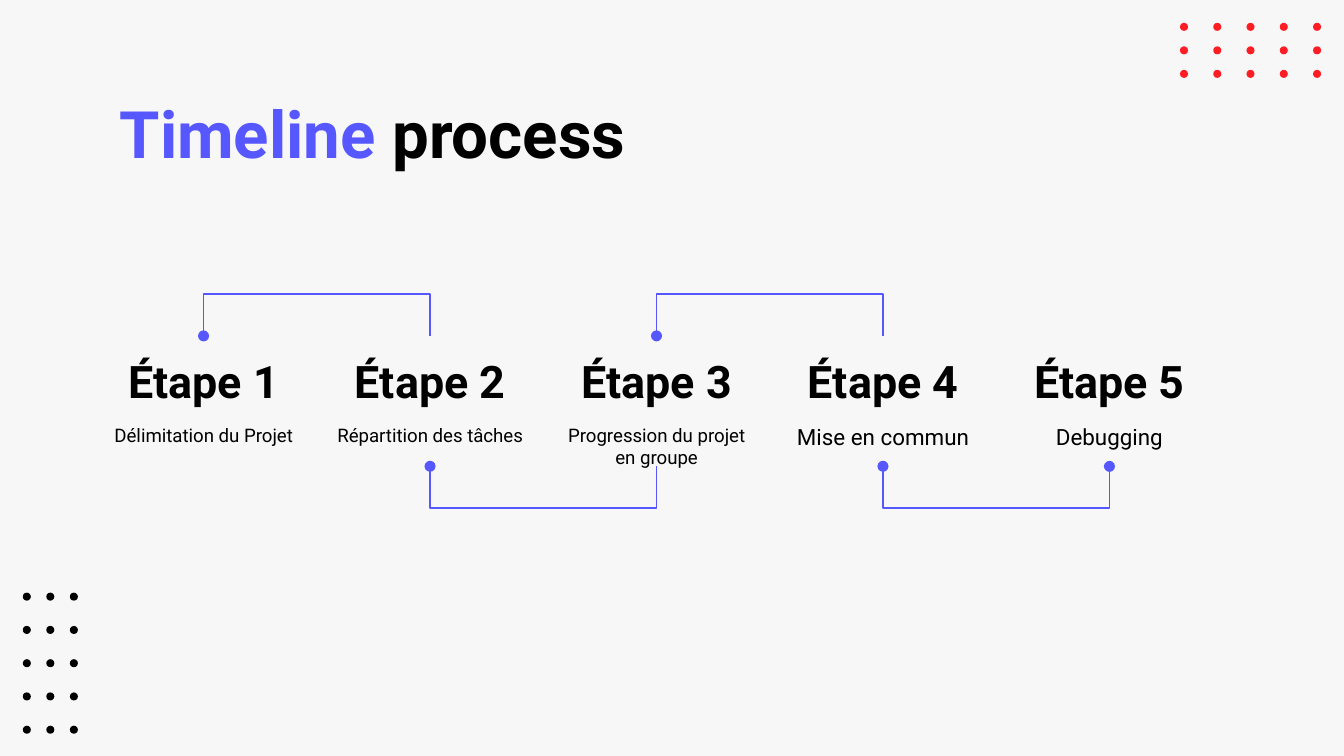
"""Build a five-step timeline slide."""
from dataclasses import dataclass
from itertools import product

from lxml import etree
from pptx import Presentation
from pptx import util as u
from pptx.dml.color import RGBColor
from pptx.enum import shapes, text
from pptx.oxml import ns


@dataclass(frozen=True)
class Theme:
    """Colours, font and type sizes of the slide."""
    font: str = "Roboto"
    paper: str = "F7F7F7"
    ink: str = "000000"
    blue: str = "5757FF"
    red: str = "FF1D25"
    title: float = 35
    head: float = 24
    body: float = 12
    small: float = 10
    line: float = 0.75


@dataclass(frozen=True)
class Step:
    """One step of the timeline."""
    head: str
    note: str
    size: float


@dataclass(frozen=True)
class Link:
    """A bracket from one step to the next; depth is positive downwards."""
    start: int
    y: float
    depth: float
    tail: bool = False


@dataclass(frozen=True)
class Dots:
    """A grid of dots, given by its first and last dot."""
    left: float
    top: float
    right: float
    low: float
    cols: int
    rows: int
    color: str


THEME = Theme()
STEPS = [
    Step("Étape 1", "Délimitation du Projet", THEME.small),
    Step("Étape 2", "Répartition des tâches", THEME.small),
    Step("Étape 3", "Progression du projet en groupe", THEME.small),
    Step("Étape 4", "Mise en commun", THEME.body),
    Step("Étape 5", "Debugging", THEME.body),
]
ABOVE, BELOW, DEPTH = 2.5, 3.47, 0.26
LINKS = [
    Link(0, ABOVE, -DEPTH),
    Link(1, BELOW, DEPTH),
    Link(2, ABOVE, -DEPTH),
    Link(3, BELOW, DEPTH, tail=True),
]
GRIDS = [
    Dots(0.17, 4.41, 0.52, 5.4, 3, 5, THEME.ink),
    Dots(8.78, 0.17, 9.77, 0.52, 5, 3, THEME.red),
]
WIDE = 10
HIGH = WIDE * 9 / 16
DOT = 0.06
LEFT, WIDTH = 0.67, 1.69
PITCH = (7.41 - LEFT) / (len(STEPS) - 1)
THIN = u.Emu(600)  # a bent connector needs some width for its bend ratio


def rgb(color: str) -> RGBColor:
    """Turn a hex string into a colour."""
    return RGBColor.from_string(color)


def add_run(para, words: str, size: float, color: str, bold: bool = False) -> None:
    """Add one formatted run to a paragraph."""
    run = para.add_run()
    run.text = words
    font = run.font
    font.name, font.size, font.bold = THEME.font, u.Pt(size), bold
    font.color.rgb = rgb(color)


def set_frame(frame, anchor) -> None:
    """Set wrapping, insets and anchor of a text frame."""
    frame.word_wrap = True
    frame.auto_size = text.MSO_AUTO_SIZE.NONE
    frame.vertical_anchor = anchor
    frame.margin_left = frame.margin_right = u.Inches(0.1)
    frame.margin_top = frame.margin_bottom = u.Inches(0.1)


def add_dots(slide, grid: Dots) -> None:
    """Draw a grid of dots as one group."""
    group = slide.shapes.add_group_shape()
    across = (grid.right - grid.left) / (grid.cols - 1)
    down = (grid.low - grid.top) / (grid.rows - 1)
    for col, row in product(range(grid.cols), range(grid.rows)):
        dot = group.shapes.add_shape(
            shapes.MSO_SHAPE.OVAL,
            u.Inches(grid.left + col * across), u.Inches(grid.top + row * down),
            u.Inches(DOT), u.Inches(DOT))
        dot.shadow.inherit = False
        dot.fill.solid()
        dot.fill.fore_color.rgb = rgb(grid.color)
        dot.line.fill.background()


def add_title(slide) -> None:
    """Place and fill the title."""
    title = slide.shapes.title
    title.left, title.top = u.Inches(0.79), u.Inches(0.59)
    title.width, title.height = u.Inches(8.43), u.Inches(0.63)
    set_frame(title.text_frame, text.MSO_ANCHOR.TOP)
    para = title.text_frame.paragraphs[0]
    para.alignment = text.PP_ALIGN.LEFT
    add_run(para, "Timeline ", THEME.title, THEME.blue, True)
    add_run(para, "process", THEME.title, THEME.ink, True)


def add_label(slide, left: float, top: float, height: float, words: str,
              size: float, anchor, bold: bool = False) -> None:
    """Add a centred text box."""
    box = slide.shapes.add_textbox(
        u.Inches(left), u.Inches(top), u.Inches(WIDTH), u.Inches(height))
    set_frame(box.text_frame, anchor)
    para = box.text_frame.paragraphs[0]
    para.alignment = text.PP_ALIGN.CENTER
    add_run(para, words, size, THEME.ink, bold)


def add_step(slide, index: int, step: Step) -> None:
    """Add the heading and note of a step."""
    left = LEFT + index * PITCH
    add_label(slide, left, 2.5, 0.63, step.head, THEME.head,
              text.MSO_ANCHOR.BOTTOM, True)
    add_label(slide, left, 3.05, 0.42, step.note, step.size,
              text.MSO_ANCHOR.TOP)


def add_link(slide, link: Link) -> None:
    """Add a bracket: an upright elbow connector turned by 270 degrees."""
    mid = u.Inches(LEFT + WIDTH / 2 + (link.start + 0.5) * PITCH)
    top = u.Inches(link.y - PITCH / 2)
    wire = slide.shapes.add_connector(
        shapes.MSO_CONNECTOR.ELBOW,
        mid + THIN // 2, top, mid - THIN // 2, top + u.Inches(PITCH))
    wire.line.color.rgb = rgb(THEME.blue)
    wire.line.width = u.Pt(THEME.line)
    props = wire._element.spPr
    props.find(ns.qn("a:xfrm")).set("rot", str(270 * 60000))
    bend = round(u.Inches(link.depth) / THIN * 100000)
    etree.SubElement(props.find(".//" + ns.qn("a:avLst")), ns.qn("a:gd"),
                     name="adj1", fmla=f"val {bend}")
    ends = ["headEnd", "tailEnd"] if link.tail else ["headEnd"]
    for end in ends:
        etree.SubElement(wire.line._get_or_add_ln(), ns.qn(f"a:{end}"),
                         type="oval", w="med", len="med")
    etree.SubElement(props, ns.qn("a:effectLst"))


def main() -> None:
    """Build and save the slide."""
    deck = Presentation()
    deck.slide_width, deck.slide_height = u.Inches(WIDE), u.Inches(HIGH)
    slide = deck.slides.add_slide(deck.slide_layouts.get_by_name("Title Only"))
    slide.background.fill.solid()
    slide.background.fill.fore_color.rgb = rgb(THEME.paper)
    for grid in GRIDS:
        add_dots(slide, grid)
    add_title(slide)
    for index, step in enumerate(STEPS):
        add_step(slide, index, step)
    for link in LINKS:
        add_link(slide, link)
    deck.save("out.pptx")


main()
